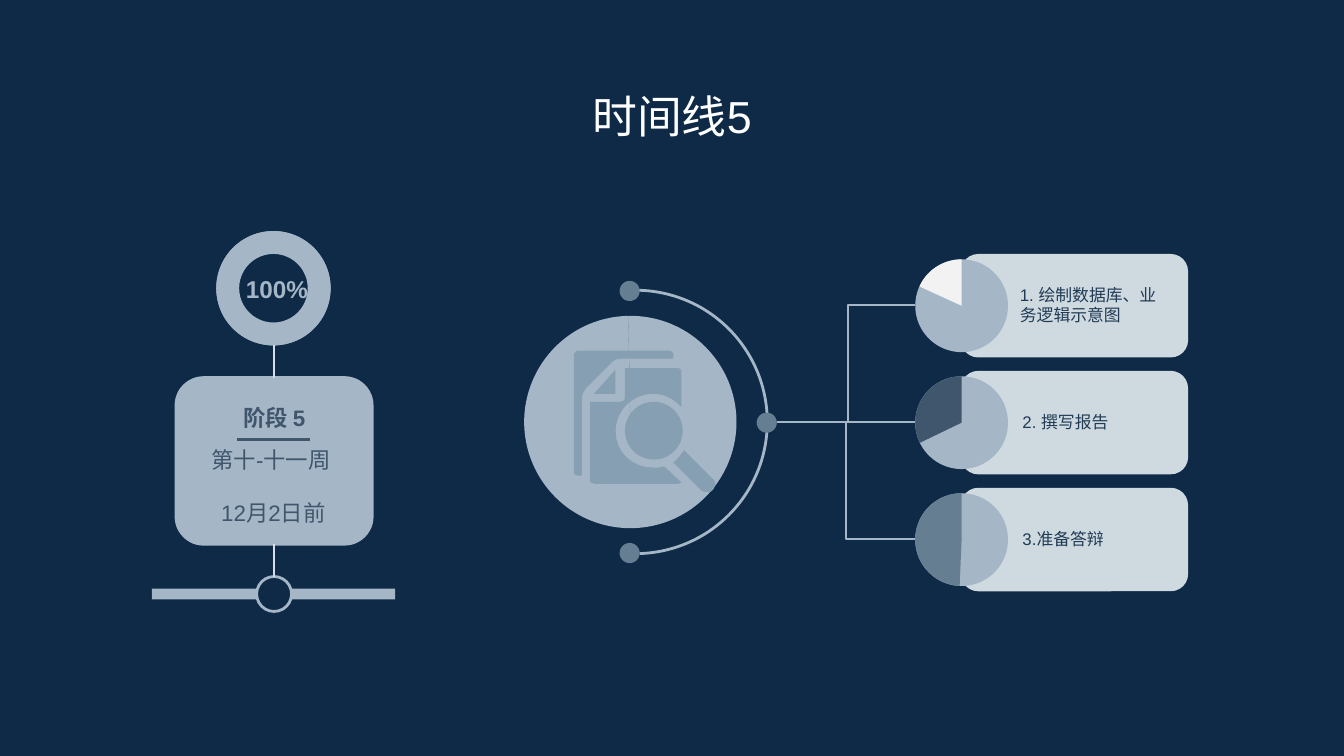
from lxml import etree
from pptx import Presentation
from pptx.dml.color import RGBColor
from pptx.enum.shapes import MSO_CONNECTOR, MSO_SHAPE
from pptx.enum.text import MSO_ANCHOR, MSO_AUTO_SIZE, PP_ALIGN
from pptx.oxml.ns import qn
from pptx.util import Inches, Pt

ARC, BLOCK_ARC, DONUT, OVAL = MSO_SHAPE.ARC, MSO_SHAPE.BLOCK_ARC, MSO_SHAPE.DONUT, MSO_SHAPE.OVAL
PIE, RECT, ROUND = MSO_SHAPE.PIE, MSO_SHAPE.RECTANGLE, MSO_SHAPE.ROUNDED_RECTANGLE
STRAIGHT, ELBOW = MSO_CONNECTOR.STRAIGHT, MSO_CONNECTOR.ELBOW
TOP, MIDDLE = MSO_ANCHOR.TOP, MSO_ANCHOR.MIDDLE
LEFT, CENTER = PP_ALIGN.LEFT, PP_ALIGN.CENTER
NO_FIT = MSO_AUTO_SIZE.NONE

NAVY, MIST, STEEL, SLATE = "0E2A47", "A5B7C6", "667E92", "40566D"
CARD, INK, STEM, ICON, PALE, WHITE = "CFD9E0", "213B55", "D7DFE5", "869FB2", "F2F2F2", "FFFFFF"

SLIDE_W = 10
ROW_STEP = 0.87
MID_Y = 3.14
TASKS = [
    ("1. 绘制数据库、业务逻辑示意图", 7.49, 1.31, 122.72, PALE, 0.515),
    ("2. 撰写报告", 7.51, 1.36, 92.53, SLATE, None),
    ("3.准备答辩", 7.51, 1.36, 55.44, STEEL, 0.5),
]

# Each outline is a start point followed by line ends (2 numbers) or Bezier curves (6 numbers).
BACK_PAGE = [
    (4.3, 2.61), (4.29, 2.61, 4.27, 2.63, 4.27, 2.64), (4.27, 3.51),
    (4.27, 3.53, 4.29, 3.54, 4.3, 3.54), (4.33, 3.54), (4.33, 2.96),
    (4.33, 2.93, 4.35, 2.91, 4.36, 2.89), (4.55, 2.7),
    (4.57, 2.68, 4.59, 2.67, 4.62, 2.67), (5.01, 2.67), (5.01, 2.64),
    (5.01, 2.63, 5, 2.61, 4.98, 2.61),
]
FOLD = [(4.58, 2.75), (4.42, 2.93), (4.58, 2.93)]
FRONT_PAGE = [
    (4.65, 2.74), (4.65, 2.96), (4.65, 2.98, 4.63, 2.99, 4.61, 2.99), (4.39, 2.99),
    (4.39, 3.57), (4.39, 3.59, 4.41, 3.6, 4.43, 3.6), (5.04, 3.6),
    (5.05, 3.6, 5.06, 3.6, 5.07, 3.59), (4.94, 3.47),
    (4.92, 3.48, 4.89, 3.48, 4.86, 3.48), (4.7, 3.48, 4.58, 3.36, 4.58, 3.21),
    (4.58, 3.05, 4.71, 2.93, 4.86, 2.93), (4.94, 2.93, 5.02, 2.97, 5.07, 3.03),
    (5.07, 2.77), (5.07, 2.75, 5.06, 2.74, 5.04, 2.74),
]
HANDLE = [
    (5.09, 3.35), (5.07, 3.38, 5.04, 3.42, 5.01, 3.44), (5.22, 3.65),
    (5.23, 3.66, 5.24, 3.66, 5.26, 3.66), (5.27, 3.66, 5.29, 3.66, 5.3, 3.65),
    (5.33, 3.62, 5.33, 3.58, 5.3, 3.56),
]


def rgb(value):
    """Turn a hex string into a colour."""
    return RGBColor.from_string(value)


def paint(sp, fill=None, line=None):
    """Give a shape its fill and outline, without a shadow."""
    sp.shadow.inherit = False
    if fill:
        sp.fill.solid()
        sp.fill.fore_color.rgb = rgb(fill)
    else:
        sp.fill.background()
    if line:
        sp.line.color.rgb = rgb(line)
        sp.line.width = Pt(1.5)
    else:
        sp.line.fill.background()


def add_shape(s, kind, x, y, w, h, fill=None, line=None, adj=()):
    """Add a preset shape."""
    sp = s.shapes.add_shape(kind, Inches(x), Inches(y), Inches(w), Inches(h))
    for i, value in enumerate(adj):
        sp.adjustments[i] = value
    paint(sp, fill, line)
    return sp


def add_line(s, x1, y1, x2, y2, color, width=1.5, bend=None):
    """Add a straight connector, or an elbow one bent at a share of its width."""
    kind = ELBOW if bend else STRAIGHT
    c = s.shapes.add_connector(kind, Inches(x1), Inches(y1), Inches(x2), Inches(y2))
    c.line.color.rgb = rgb(color)
    c.line.width = Pt(width)
    sp_pr = c._element.spPr
    etree.SubElement(sp_pr, qn("a:effectLst"))
    if bend:
        guides = sp_pr.find(qn("a:prstGeom")).get_or_add_avLst()
        etree.SubElement(guides, qn("a:gd"), name="adj1", fmla=f"val {round(bend * 100000)}")
    return c


def write(sp, lines, size, color, bold=False, align=CENTER, anchor=MIDDLE, gap=0):
    """Fill a shape with formatted paragraphs."""
    tf = sp.text_frame
    tf.word_wrap = True
    tf.auto_size = NO_FIT
    tf.vertical_anchor = anchor
    tf.margin_left = tf.margin_right = tf.margin_top = tf.margin_bottom = Inches(0.1)
    tf.text = "\n".join(lines)
    for i, p in enumerate(tf.paragraphs):
        p.alignment = align
        p.space_before = Pt(gap if i else 0)
        for r in p.runs:
            r.font.name = "Arial"
            r.font.size = Pt(size)
            r.font.bold = bold
            r.font.color.rgb = rgb(color)


def add_text(s, x, y, w, h, lines, size, color, **style):
    """Add a text box."""
    write(s.shapes.add_textbox(Inches(x), Inches(y), Inches(w), Inches(h)), lines, size, color, **style)


def flatten(outline, steps=8):
    """List the points of an outline, with its curves sampled."""
    points = [outline[0]]
    for part in outline[1:]:
        if len(part) == 2:
            points.append(part)
            continue
        ctrl = [points[-1], part[:2], part[2:4], part[4:]]
        for t in (n / steps for n in range(1, steps + 1)):
            weights = ((1 - t) ** 3, 3 * t * (1 - t) ** 2, 3 * t * t * (1 - t), t ** 3)
            points.append(tuple(sum(k * c[a] for k, c in zip(weights, ctrl)) for a in (0, 1)))
    return [(Inches(x), Inches(y)) for x, y in points]


def add_outline(s, outline, fill):
    """Add a filled closed freeform."""
    start, *rest = flatten(outline)
    builder = s.shapes.build_freeform(*start)
    builder.add_line_segments(rest, close=True)
    paint(builder.convert_to_shape(), fill)


def add_title(s, text):
    """Place and format the title."""
    sp = s.shapes.title
    sp.left, sp.top, sp.width, sp.height = Inches(0.79), Inches(0.56), Inches(8.42), Inches(0.53)
    write(sp, [text], 24, WHITE, anchor=TOP)


def add_tasks(s):
    """Add the task cards with their pies, and the branches that lead to them."""
    rows = [(MID_Y + ROW_STEP * (i - 1), *task) for i, task in enumerate(TASKS)]
    for y, text, x, w, *_ in rows:
        add_shape(s, ROUND, 7.15, y - 0.38, 1.69, 0.77, CARD)
        add_text(s, x, y - 0.24, w, 0.48, [text], 9, INK, align=LEFT)
    for y, _, _, _, start, color, bend in rows:
        add_shape(s, OVAL, 6.81, y - 0.34, 0.69, 0.69, MIST)
        add_shape(s, PIE, 6.81, y - 0.34, 0.69, 0.69, color, adj=(start, 162))
        add_line(s, 5.78, MID_Y, 6.81, y, MIST, bend=bend)


def add_hub(s):
    """Add the central disc with its arc, dots and document icon."""
    add_shape(s, ARC, 3.75, 2.16, 1.96, 1.96, line=MIST, adj=(162, 52.98))
    add_shape(s, OVAL, 3.9, 2.35, 1.58, 1.58, MIST)
    add_shape(s, PIE, 3.9, 2.35, 1.58, 1.58, STEEL, adj=(161.34, 161.38))
    for x, y in ((4.61, 2.09), (4.61, 4.04), (5.63, 3.07)):
        add_shape(s, OVAL, x, y, 0.15, 0.15, STEEL)
    for outline in (BACK_PAGE, FOLD, FRONT_PAGE, HANDLE):
        add_outline(s, outline, ICON)
    add_shape(s, OVAL, 4.65, 2.99, 0.43, 0.43, ICON)


def add_stage(s):
    """Add the stage box between its progress ring and the time bar."""
    add_shape(s, RECT, 1.13, 4.38, 1.81, 0.08, MIST)
    box = add_shape(s, ROUND, 1.31, 2.81, 1.46, 1.24, MIST, MIST)
    add_shape(s, OVAL, 1.91, 4.29, 0.26, 0.26, NAVY, MIST)
    add_line(s, 2.04, 4.05, 2.04, 4.29, STEM, 0.75).begin_connect(box, 2)
    add_text(s, 1.4, 3.34, 1.27, 0.56, ["第十-十一周 ", "12月2日前"], 12, SLATE, gap=14)
    add_text(s, 1.58, 2.99, 0.92, 0.24, ["阶段 5"], 12, SLATE, bold=True)
    add_shape(s, DONUT, 1.62, 1.73, 0.83, 0.83, line=MIST, adj=(0.12,))
    add_shape(s, BLOCK_ARC, 1.62, 1.73, 0.83, 0.83, MIST, MIST, adj=(161.34, 160.58, 0.18))
    add_line(s, 2.04, 2.57, 2.04, 2.81, STEM, 0.75).end_connect(box, 0)
    add_text(s, 1.72, 1.95, 0.68, 0.4, ["100%"], 13, MIST, bold=True)
    add_line(s, 1.76, 3.27, 2.31, 3.27, SLATE)


def main():
    """Build the timeline slide."""
    prs = Presentation()
    prs.slide_width, prs.slide_height = Inches(SLIDE_W), Inches(SLIDE_W * 9 / 16)
    s = prs.slides.add_slide(prs.slide_layouts[5])
    s.background.fill.solid()
    s.background.fill.fore_color.rgb = rgb(NAVY)
    add_title(s, "时间线5")
    add_hub(s)
    add_tasks(s)
    add_stage(s)
    prs.save("out.pptx")


if __name__ == "__main__":
    main()
